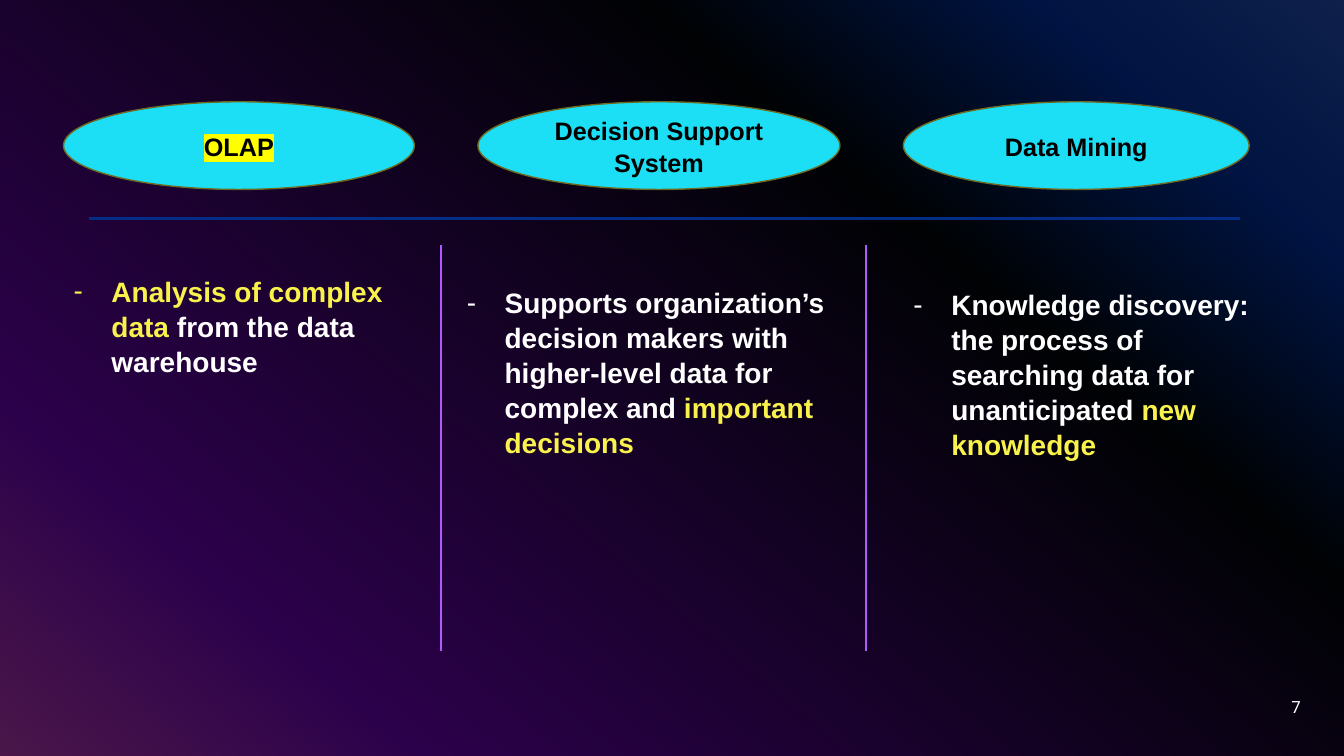
from dataclasses import dataclass

from lxml.etree import SubElement
from pptx import Presentation
from pptx.dml.color import RGBColor
from pptx.enum.shapes import MSO_CONNECTOR as Connector, MSO_SHAPE as Shape
from pptx.enum.text import MSO_ANCHOR as Anchor, MSO_AUTO_SIZE as AutoSize, PP_ALIGN as Align
from pptx.oxml import parse_xml
from pptx.oxml.ns import nsdecls, qn
from pptx.util import Inches, Pt


@dataclass(frozen=True)
class Theme:
    font: str = "Arial"
    number_font: str = "Roboto"
    heading_size: int = 18
    body_size: int = 20
    number_size: int = 12
    white: str = "FFFFFF"
    black: str = "000000"
    accent: str = "FAF24C"
    oval: str = "1CDFF5"
    oval_edge: str = "6E6A21"
    marker: str = "FFFF00"
    rule: str = "032D86"
    divider: str = "B059FD"
    backdrop: tuple = ((0, "316CFC"), (14, "0343DF"), (31, "02090E"),
                       (81, "9405FC"), (100, "FC4EFB"))
    backdrop_angle: int = 130
    veil_opacity: int = 70


THEME = Theme()
SLIDE_SIZE = (13.33, 7.5)
PAGE_NUMBER = "7"

# oval and body boxes are left, top, width, height in inches
COLUMNS = [
    {"heading": "OLAP", "marked": True, "oval": (0.63, 1.01, 3.48, 0.87),
     "body": (0.63, 2.66, 3.65, 2.12), "placeholder": 1,
     "spans": [("Analysis of complex data ", THEME.accent),
               ("from the data warehouse", THEME.white)]},
    {"heading": "Decision Support System", "marked": False, "oval": (4.74, 1.01, 3.59, 0.87),
     "body": (4.53, 2.77, 4.06, 2.79), "placeholder": 2,
     "spans": [("Supports organization’s decision makers with higher-level data "
                "for complex and ", THEME.white),
               ("important decisions", THEME.accent)]},
    {"heading": "Data Mining", "marked": False, "oval": (8.96, 1.01, 3.43, 0.87),
     "body": (8.96, 2.79, 3.85, 1.9), "placeholder": 4,
     "spans": [("Knowledge discovery: the process of searching data for "
                "unanticipated ", THEME.white),
               ("new knowledge", THEME.accent)]},
]
RULE = (0.88, 2.17, 12.3, 2.17)
DIVIDERS = [(x, 2.43, x, 6.46) for x in (4.37, 8.59)]


def color(value):
    return RGBColor.from_string(value)


def inches(values):
    return [Inches(value) for value in values]


def paint_backdrop(page):
    stops = "".join(f'<a:gs pos="{at * 1000}"><a:srgbClr val="{value}"/></a:gs>'
                    for at, value in THEME.backdrop)
    gradient = parse_xml(
        f'<a:gradFill {nsdecls("a")} rotWithShape="1"><a:gsLst>{stops}</a:gsLst>'
        f'<a:lin ang="{THEME.backdrop_angle * 60000}" scaled="0"/></a:gradFill>')
    fill = page.background.fill
    fill.solid()
    solid = page.element.find(".//" + qn("p:bgPr")).find(qn("a:solidFill"))
    solid.getparent().replace(solid, gradient)


def add_filled(page, kind, box, fill):
    shape = page.shapes.add_shape(kind, *inches(box))
    shape.shadow.inherit = False
    shape.fill.solid()
    shape.fill.fore_color.rgb = color(fill)
    shape.line.fill.background()
    return shape


def add_veil(page):
    veil = add_filled(page, Shape.RECTANGLE, (0, 0, *SLIDE_SIZE), THEME.black)
    tint = veil.fill._xPr.find(".//" + qn("a:srgbClr"))
    SubElement(tint, qn("a:alpha"), val=str(THEME.veil_opacity * 1000))


def add_line(page, ends, value, width):
    line = page.shapes.add_connector(Connector.STRAIGHT, *inches(ends))
    line.line.color.rgb = color(value)
    line.line.width = Pt(width)
    SubElement(line._element.spPr, qn("a:effectLst"))


def add_span(para, text, size, value, bold=True, font=THEME.font):
    span = para.add_run()
    span.text = text
    span.font.size = Pt(size)
    span.font.name = font
    span.font.bold = bold
    span.font.color.rgb = color(value)
    return span


def highlight(span):
    mark = parse_xml(f'<a:highlight {nsdecls("a")}>'
                     f'<a:srgbClr val="{THEME.marker}"/></a:highlight>')
    span.font._element.find(qn("a:solidFill")).addnext(mark)


def add_heading(page, column):
    oval = add_filled(page, Shape.OVAL, column["oval"], THEME.oval)
    oval.line.color.rgb = color(THEME.oval_edge)
    oval.line.width = Pt(1)
    frame = oval.text_frame
    frame.word_wrap = True
    frame.vertical_anchor = Anchor.MIDDLE
    para = frame.paragraphs[0]
    para.alignment = Align.CENTER
    para.line_spacing = 1.07
    span = add_span(para, column["heading"], THEME.heading_size, THEME.black)
    if column["marked"]:
        highlight(span)


def fill_body(page, column):
    body = page.placeholders[column["placeholder"]]
    body.left, body.top, body.width, body.height = inches(column["body"])
    frame = body.text_frame
    frame.word_wrap = True
    frame.auto_size = AutoSize.NONE
    frame.vertical_anchor = Anchor.TOP
    para = frame.paragraphs[0]
    para.space_before = Pt(0)
    para.line_spacing = 1.04
    settings = para._p.get_or_add_pPr()
    indent = Inches(0.375)
    settings.set("marL", str(indent))
    settings.set("indent", str(-indent))
    SubElement(settings, qn("a:buFont"), typeface=THEME.font)
    SubElement(settings, qn("a:buChar"), char="-")
    for text, value in column["spans"]:
        add_span(para, text, THEME.body_size, value)


def add_page_number(page):
    box = page.shapes.add_textbox(*inches((10, 6.81, 3, 0.4)))
    frame = box.text_frame
    frame.word_wrap = True
    frame.vertical_anchor = Anchor.MIDDLE
    para = frame.paragraphs[0]
    para.alignment = Align.RIGHT
    add_span(para, PAGE_NUMBER, THEME.number_size, THEME.white, False, THEME.number_font)


def main():
    deck = Presentation()
    deck.slide_width, deck.slide_height = inches(SLIDE_SIZE)
    page = deck.slides.add_slide(deck.slide_layouts.get_by_name("Comparison"))
    paint_backdrop(page)
    add_veil(page)
    # the veil belongs behind the placeholders
    tree = page.shapes._spTree
    tree.insert(2, tree[-1])
    add_line(page, RULE, THEME.rule, 2)
    add_page_number(page)
    for column in COLUMNS:
        add_heading(page, column)
        fill_body(page, column)
    for ends in DIVIDERS:
        add_line(page, ends, THEME.divider, 1.5)
    for holder in list(page.placeholders):
        if not holder.text_frame.text:
            tree.remove(holder._element)
    deck.save("out.pptx")


if __name__ == "__main__":
    main()
